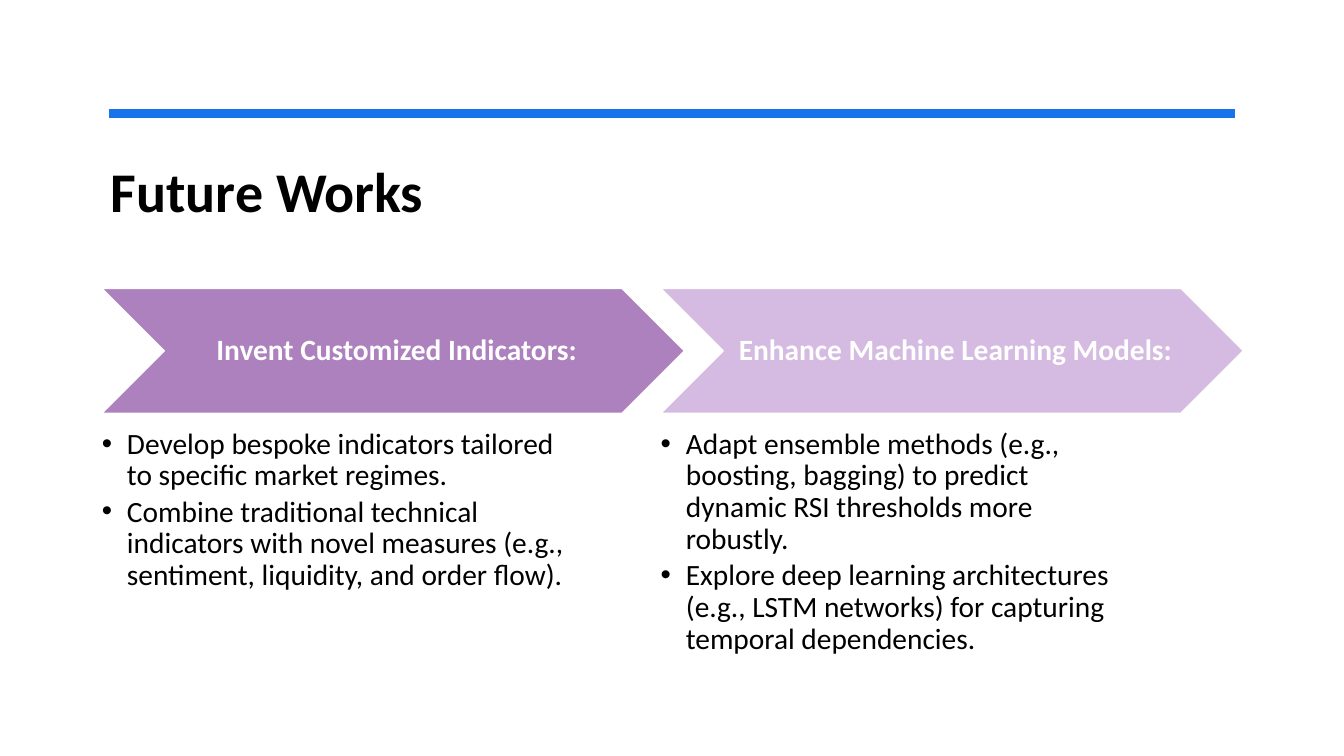
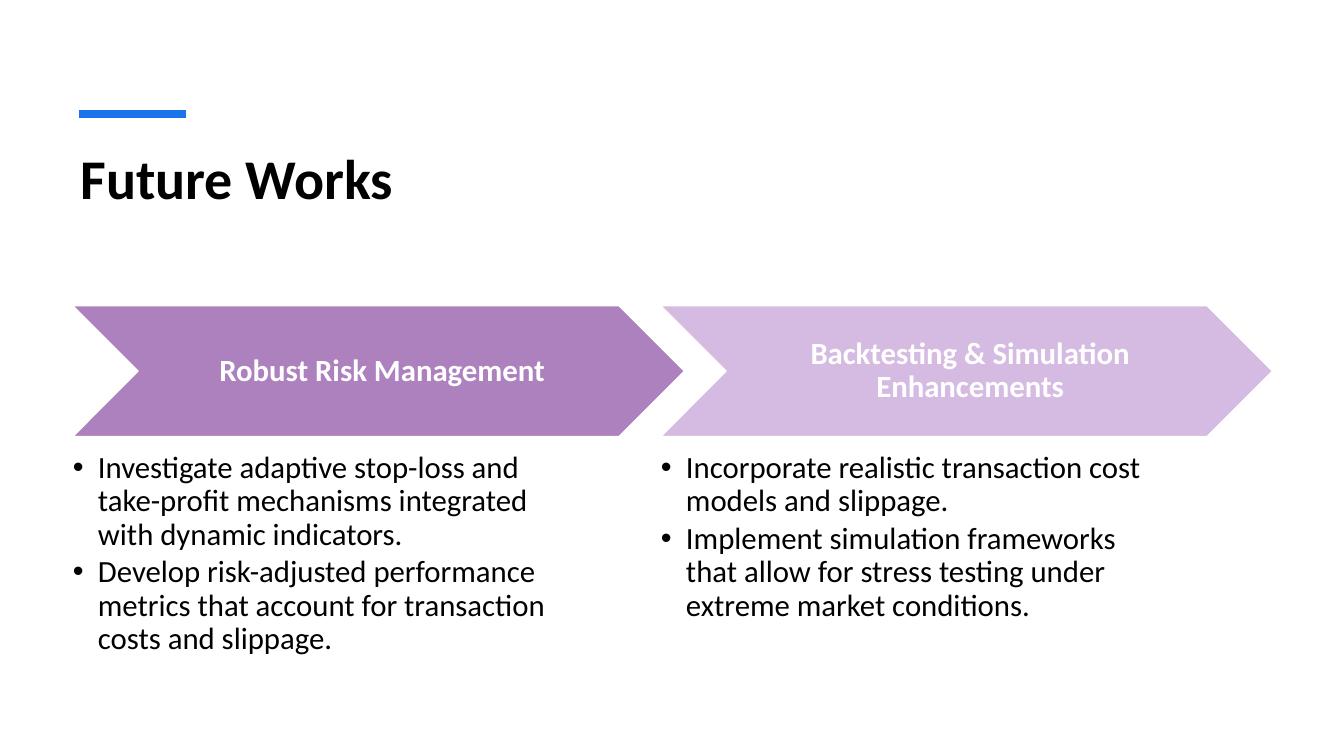
from pptx import Presentation
from pptx.dml.color import RGBColor
from pptx.enum import shapes, text
from pptx.oxml.ns import qn
from pptx.util import Pt
from lxml import etree

BLACK = RGBColor(0x00, 0x00, 0x00)
WHITE = RGBColor(0xFF, 0xFF, 0xFF)
BLUE = RGBColor(0x19, 0x73, 0xEB)
PURPLE = RGBColor(0xAD, 0x81, 0xBE)
LILAC = RGBColor(0xD5, 0xBB, 0xE1)
FONT = "Calibri"
OVERLAP = 17
BODY_GAP = 11
BODY_SHARE = 0.8

SLIDES = [
    {
        "title_box": (72, 108, 816, 90),
        "title_anchor": text.MSO_ANCHOR.TOP,
        "rule": (77.8, 882, 81),
        "chevron": (72.7, 206, 416.2, 89.3),
        "body_height": 189,
        "size": 21,
        "columns": [
            ("Invent Customized Indicators:", [
                "Develop bespoke indicators tailored to specific market regimes.",
                "Combine traditional technical indicators with novel measures "
                "(e.g., sentiment, liquidity, and order flow).",
            ]),
            ("Enhance Machine Learning Models:", [
                "Adapt ensemble methods (e.g., boosting, bagging) to predict "
                "dynamic RSI thresholds more robustly.",
                "Explore deep learning architectures (e.g., LSTM networks) "
                "for capturing temporal dependencies.",
            ]),
        ],
    },
    {
        "title_box": (50.4, 44.6, 857.5, 109.4),
        "title_anchor": text.MSO_ANCHOR.BOTTOM,
        "rule": (56.2, 133.2, 81.4),
        "chevron": (52, 218.4, 437, 93.4),
        "body_height": 171.4,
        "size": 22,
        "columns": [
            ("Robust Risk Management", [
                "Investigate adaptive stop-loss and take-profit mechanisms "
                "integrated with dynamic indicators.",
                "Develop risk-adjusted performance metrics that account for "
                "transaction costs and slippage.",
            ]),
            ("Backtesting & Simulation Enhancements", [
                "Incorporate realistic transaction cost models and slippage.",
                "Implement simulation frameworks that allow for stress testing "
                "under extreme market conditions.",
            ]),
        ],
    },
]


def place(shape, left, top, width, height):
    shape.left, shape.top = Pt(left), Pt(top)
    shape.width, shape.height = Pt(width), Pt(height)


def format_text(frame, size, color, bold, alignment, anchor, spacing, margins):
    frame.word_wrap = True
    frame.auto_size = text.MSO_AUTO_SIZE.NONE
    frame.vertical_anchor = anchor
    frame.margin_left, frame.margin_top, frame.margin_right, frame.margin_bottom = map(Pt, margins)
    for paragraph in frame.paragraphs:
        paragraph.alignment = alignment
        paragraph.line_spacing = spacing
        paragraph.space_before = Pt(0)
        for run in paragraph.runs:
            run.font.name = FONT
            run.font.size = Pt(size)
            run.font.bold = bold
            run.font.color.rgb = color


presentation = Presentation()
presentation.slide_width = Pt(960)
presentation.slide_height = Pt(540)
two_content = presentation.slide_layouts.get_by_name("Two Content")

for content in SLIDES:
    slide = presentation.slides.add_slide(two_content)
    size = content["size"]

    title = slide.shapes.title
    place(title, *content["title_box"])
    title.text_frame.text = "Future Works"
    format_text(title.text_frame, 40, BLACK, True, text.PP_ALIGN.LEFT,
                content["title_anchor"], 1.0, (7.2, 3.6, 7.2, 3.6))

    start, end, height = content["rule"]
    rule = slide.shapes.add_connector(
        shapes.MSO_CONNECTOR.STRAIGHT, Pt(start), Pt(height), Pt(end), Pt(height))
    rule.line.color.rgb = BLUE
    rule.line.width = Pt(6)
    etree.SubElement(rule._element.spPr, qn("a:effectLst"))

    first_left, top, width, height = content["chevron"]
    for column, (heading, bullets) in enumerate(content["columns"]):
        left = first_left + column * (width - OVERLAP)
        chevron = slide.shapes.add_shape(
            shapes.MSO_SHAPE.CHEVRON, Pt(left), Pt(top), Pt(width), Pt(height))
        chevron.shadow.inherit = False
        chevron.fill.solid()
        chevron.fill.fore_color.rgb = (PURPLE, LILAC)[column]
        chevron.line.color.rgb = WHITE
        chevron.line.width = Pt(1)
        chevron.text_frame.text = heading
        format_text(chevron.text_frame, size, WHITE, True, text.PP_ALIGN.CENTER,
                    text.MSO_ANCHOR.MIDDLE, 0.9, (7, 2, 2, 2))

        body = slide.placeholders[column + 1]
        place(body, left, top + height + BODY_GAP, width * BODY_SHARE, content["body_height"])
        body.text_frame.text = "\n".join(bullets)
        format_text(body.text_frame, size, BLACK, False, text.PP_ALIGN.LEFT,
                    text.MSO_ANCHOR.TOP, 0.9, (0, 0, 0, 0))
        for paragraph in body.text_frame.paragraphs:
            paragraph.space_after = Pt(0.15 * size)
            properties = paragraph._p.get_or_add_pPr()
            properties.set("marL", str(Pt(18)))
            properties.set("indent", str(Pt(-18)))

presentation.save("out.pptx")
